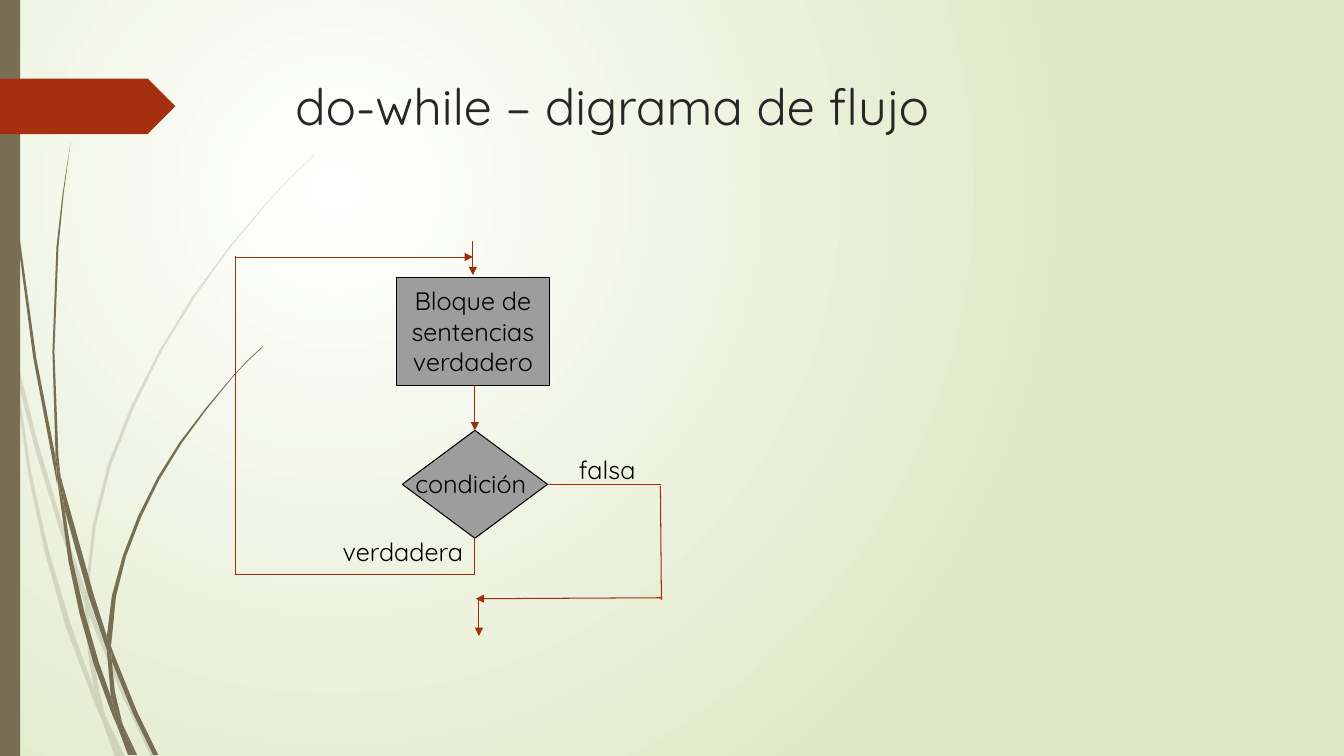
from lxml import etree
from pptx import Presentation
from pptx.dml.color import RGBColor
from pptx.enum.shapes import MSO_CONNECTOR, MSO_SHAPE
from pptx.enum.text import MSO_ANCHOR, MSO_AUTO_SIZE, PP_ALIGN
from pptx.oxml.ns import qn
from pptx.util import Inches, Pt

WHITE = RGBColor(0xFF, 0xFF, 0xFF)
PALE_GREEN = RGBColor(0xDF, 0xE8, 0xC4)
OLIVE = RGBColor(0x76, 0x6F, 0x54)
RUST = RGBColor(0xA5, 0x30, 0x10)
FLOW_RED = RGBColor(0x9E, 0x2E, 0x0F)
GREY = RGBColor(0x9D, 0x9D, 0x9D)
CHARCOAL = RGBColor(0x26, 0x26, 0x26)
BLACK = RGBColor(0, 0, 0)

# Outlines of the grass, in inches; each blade is made of adjoining pieces
PALE_GRASS = [
    [(0.11, 3.5), (0.09, 3.22), (0, 2.82), (0, 2.99), (0.1, 3.44)],
    [(0.58, 5.22), (0.84, 5.99), (0.85, 5.86), (0.62, 5.2), (0.36, 4.34),
     (0.14, 3.45), (0.17, 3.76), (0.36, 4.5)],
    [(0.92, 6.07), (0.88, 5.96), (0.88, 6.1), (1.23, 6.94), (1.5, 7.51),
     (1.55, 7.51), (1.27, 6.92)],
    [(1.19, 7.51), (1.24, 7.51), (1.05, 7.11)],
    [(0.93, 6.83), (0.7, 6.19), (0.48, 5.45), (0.31, 4.69), (0.17, 3.76),
     (0.11, 3.5), (0.28, 4.7), (0.44, 5.46), (0.65, 6.21), (0.92, 6.93),
     (1.01, 7.14), (0.99, 7.07)],
    [(0.84, 5.99), (0.87, 6.46), (0.93, 6.83), (0.96, 6.92), (1.05, 7.11),
     (1.03, 7.06), (0.91, 6.46), (0.88, 6.1), (0.88, 6.08)],
    [(0.88, 5.84), (0.95, 5.22), (1.1, 4.62), (1.33, 4.04), (1.6, 3.49),
     (1.93, 2.95), (2.29, 2.45), (2.68, 1.98), (2.9, 1.75), (3.12, 1.54),
     (3.12, 1.53), (2.89, 1.75), (2.68, 1.97), (2.28, 2.44), (1.91, 2.94),
     (1.58, 3.48), (1.3, 4.03), (1.07, 4.61), (0.92, 5.21), (0.85, 5.84),
     (0.85, 5.86), (0.88, 5.96)],
    [(1.01, 7.14), (1.14, 7.51), (1.19, 7.51)],
    [(0.88, 6.08), (0.88, 5.96), (0.85, 5.86), (0.84, 5.99)],
    [(0.96, 6.92), (0.93, 6.83), (0.99, 7.07), (1.01, 7.14), (1.19, 7.51),
     (1.05, 7.11)],
]
DARK_GRASS = [
    [(0.07, 1.1), (0.17, 2.33), (0.33, 3.55), (0.56, 4.77), (0.57, 4.81),
     (0.55, 4.53), (0.36, 3.55), (0.19, 2.32), (0.08, 1.09), (0.05, 0.48),
     (0.04, 0), (0.03, 0), (0.04, 0.48)],
    [(0.88, 5.92), (1.06, 6.45), (1.06, 6.31), (0.93, 5.9), (0.6, 4.72),
     (0.64, 5.05)],
    [(1.13, 6.49), (1.1, 6.41), (1.11, 6.56), (1.32, 7.08), (1.52, 7.49),
     (1.57, 7.49), (1.36, 7.06)],
    [(1.1, 6.91), (0.98, 6.57), (0.84, 6.08), (0.72, 5.56), (0.64, 5.05),
     (0.57, 4.77), (0.68, 5.57), (0.79, 6.09), (0.93, 6.59), (1.11, 7.08),
     (1.17, 7.22), (1.16, 7.17)],
    [(0.6, 4.72), (0.58, 4.53), (0.54, 3.49), (0.58, 2.45), (0.63, 1.93),
     (0.7, 1.41), (0.62, 1.93), (0.56, 2.45), (0.52, 3.49), (0.55, 4.49)],
    [(1.33, 7.49), (1.36, 7.49), (1.22, 7.19)],
    [(0.57, 4.77), (0.64, 5.05), (0.6, 4.72), (0.55, 4.49), (0.55, 4.53)],
    [(1.11, 6.33), (1.15, 5.92), (1.25, 5.52), (1.4, 5.13), (1.58, 4.76),
     (1.8, 4.4), (2.05, 4.06), (2.31, 3.74), (2.45, 3.59), (2.61, 3.44),
     (2.6, 3.44), (2.45, 3.58), (2.31, 3.73), (2.04, 4.05), (1.78, 4.39),
     (1.56, 4.74), (1.37, 5.12), (1.22, 5.51), (1.11, 5.91), (1.06, 6.31),
     (1.1, 6.41)],
    [(1.17, 7.22), (1.27, 7.49), (1.31, 7.49)],
    [(1.06, 6.45), (1.1, 6.91), (1.16, 7.06), (1.22, 7.19), (1.21, 7.16),
     (1.14, 6.86), (1.11, 6.56), (1.09, 6.51)],
    [(1.06, 6.45), (1.09, 6.51), (1.11, 6.56), (1.1, 6.41), (1.06, 6.31)],
    [(1.16, 7.06), (1.1, 6.91), (1.16, 7.17), (1.17, 7.22), (1.3, 7.49),
     (1.33, 7.49), (1.22, 7.19)],
]


class FlowSlide:
    font_name = "Quicksand"
    text_size = Pt(18)
    line_width = Pt(0.75)

    def __init__(self, presentation):
        self.slide = presentation.slides.add_slide(presentation.slide_layouts[5])
        self.shapes = self.slide.shapes

    def style(self, paragraph, size, color):
        paragraph.font.name = self.font_name
        paragraph.font.size = size
        paragraph.font.color.rgb = color

    def background(self, centre, edge):
        fill = self.slide.background.fill
        fill.gradient()
        for stop, color in zip(fill.gradient_stops, (centre, edge)):
            stop.color.rgb = color
        gradient = self.slide.element.find(".//" + qn("a:gradFill"))
        gradient.remove(gradient.find(qn("a:lin")))
        circle = etree.SubElement(gradient, qn("a:path"), path="circle")
        etree.SubElement(circle, qn("a:fillToRect"),
                         l="50000", t="50000", r="100000", b="100000")

    def title(self, text, left, top, width, height):
        title = self.shapes.title
        title.left, title.top = Inches(left), Inches(top)
        title.width, title.height = Inches(width), Inches(height)
        title.text_frame.text = text
        title.text_frame.vertical_anchor = MSO_ANCHOR.TOP
        heading = title.text_frame.paragraphs[0]
        heading.alignment = PP_ALIGN.LEFT
        self.style(heading, Pt(36), CHARCOAL)

    def paint(self, shape, fill, outline=None):
        shape.shadow.inherit = False
        shape.fill.solid()
        shape.fill.fore_color.rgb = fill
        if outline is None:
            shape.line.fill.background()
        else:
            shape.line.color.rgb = outline
            shape.line.width = self.line_width

    def grass(self, pieces, opacity):
        for piece in pieces:
            outline = [(Inches(x), Inches(y)) for x, y in piece]
            builder = self.shapes.build_freeform(*outline[0])
            builder.add_line_segments(outline[1:], close=True)
            blade = builder.convert_to_shape()
            self.paint(blade, OLIVE)
            color = blade.element.spPr.find(".//" + qn("a:srgbClr"))
            etree.SubElement(color, qn("a:alpha"), val=str(opacity * 1000))

    def shape(self, kind, left, top, width, height, fill, outline=None, text=""):
        shape = self.shapes.add_shape(
            kind, Inches(left), Inches(top), Inches(width), Inches(height))
        self.paint(shape, fill, outline)
        if text:
            frame = shape.text_frame
            frame.text = text
            frame.vertical_anchor = MSO_ANCHOR.MIDDLE
            frame.paragraphs[0].alignment = PP_ALIGN.CENTER
            self.style(frame.paragraphs[0], self.text_size, BLACK)

    def label(self, text, left, top):
        label = self.shapes.add_textbox(
            Inches(left), Inches(top), Inches(1.62), Inches(0.4))
        frame = label.text_frame
        frame.word_wrap = True
        frame.auto_size = MSO_AUTO_SIZE.SHAPE_TO_FIT_TEXT
        frame.text = text
        self.style(frame.paragraphs[0], self.text_size, BLACK)

    def line(self, start, end, arrow=False):
        line = self.shapes.add_connector(
            MSO_CONNECTOR.STRAIGHT, *(Inches(value) for value in start + end))
        line.line.color.rgb = FLOW_RED
        line.line.width = self.line_width
        properties = line.element.spPr
        if arrow:
            etree.SubElement(properties.find(qn("a:ln")), qn("a:tailEnd"),
                             type="triangle")
        etree.SubElement(properties, qn("a:effectLst"))


def main():
    presentation = Presentation()
    presentation.slide_width, presentation.slide_height = Inches(13.33), Inches(7.5)
    flow = FlowSlide(presentation)
    # Backdrop: gradient, grass, side bar and title marker
    flow.background(WHITE, PALE_GREEN)
    flow.grass(PALE_GRASS, opacity=20)
    flow.grass(DARK_GRASS, opacity=100)
    flow.shape(MSO_SHAPE.RECTANGLE, 0, 0, 0.2, 7.5, OLIVE)
    flow.shape(MSO_SHAPE.PENTAGON, 0, 0.78, 1.74, 0.55, RUST)
    flow.title("do-while – digrama de flujo", 2.83, 0.69, 9.75, 1.4)
    # Loop body and condition
    flow.shape(MSO_SHAPE.FLOWCHART_PROCESS, 3.93, 2.75, 1.52, 1.07, GREY, BLACK,
               "Bloque de sentencias verdadero")
    flow.shape(MSO_SHAPE.FLOWCHART_DECISION, 3.99, 4.27, 1.44, 1.07, GREY, BLACK)
    flow.label("condición", 4.02, 4.6)
    # Entry, and step from body to condition
    flow.line((4.69, 2.39), (4.69, 2.73), arrow=True)
    flow.line((4.71, 3.82), (4.71, 4.27), arrow=True)
    # True branch: back to the body
    flow.label("verdadera", 3.3, 5.27)
    flow.line((4.71, 5.34), (4.71, 5.7))
    flow.line((4.71, 5.7), (2.34, 5.7))
    flow.line((2.34, 5.7), (2.34, 2.54))
    flow.line((2.34, 2.55), (4.69, 2.55), arrow=True)
    # False branch: out of the loop
    flow.label("falsa", 5.64, 4.46)
    flow.line((5.44, 4.81), (6.56, 4.81))
    flow.line((6.55, 4.82), (6.56, 5.95))
    flow.line((6.57, 5.93), (4.72, 5.94), arrow=True)
    flow.line((4.75, 5.95), (4.75, 6.31), arrow=True)
    presentation.save("out.pptx")


if __name__ == "__main__":
    main()
